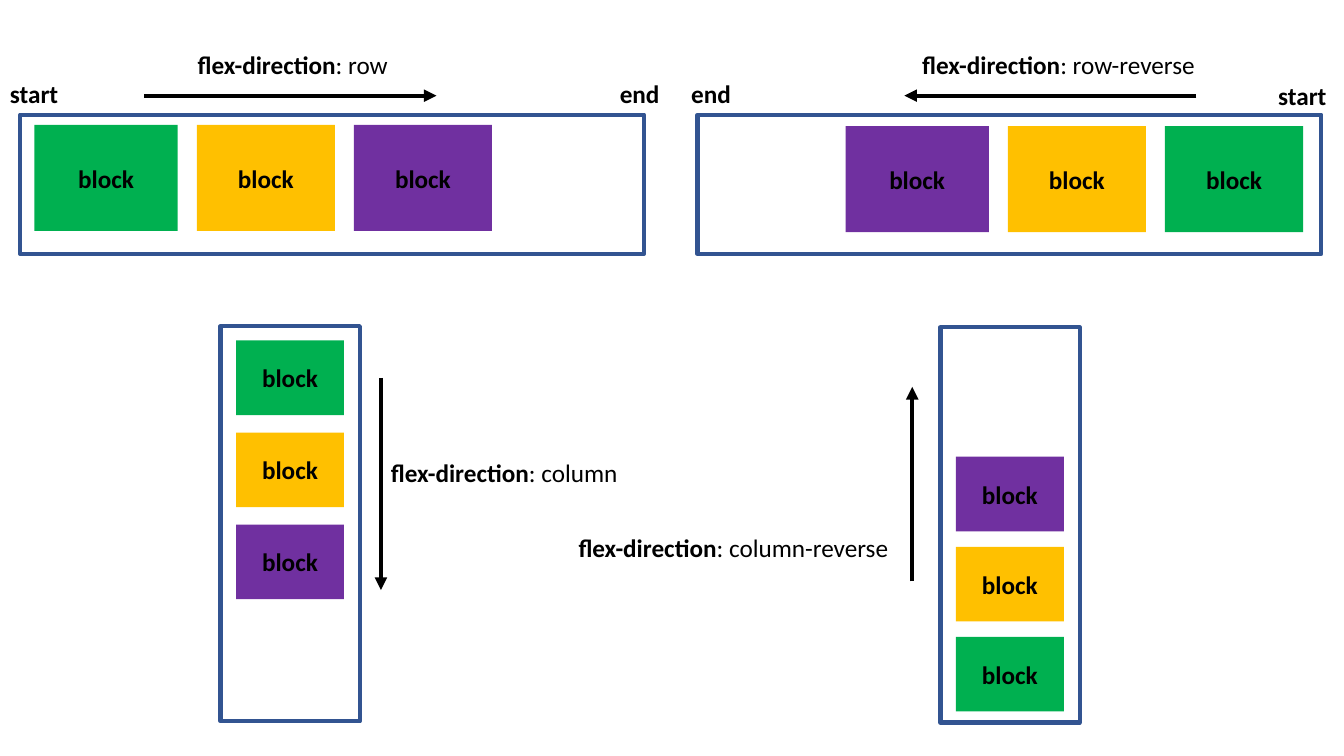
from pptx import Presentation
from pptx.dml.color import RGBColor
from pptx.enum.shapes import MSO_CONNECTOR, MSO_SHAPE
from pptx.enum.text import MSO_ANCHOR, PP_ALIGN
from pptx.oxml.ns import qn
from pptx.util import Cm, Pt
from lxml.etree import SubElement

GREEN, YELLOW, PURPLE = "00B050", "FFC000", "7030A0"
BLACK, FRAME_BLUE = "000000", "325491"
FORWARD = (GREEN, YELLOW, PURPLE)
REVERSE = FORWARD[::-1]
ROW_SIZE, COLUMN_SIZE = (15.72, 3.51), (3.51, 9.96)
ROW_BLOCK_WIDTHS, ROW_BLOCK_HEIGHT, ROW_GAP = (3.61, 3.48, 3.48), 2.67, 0.48
COLUMN_BLOCK_SIZE = (2.72, 1.88)
LABEL_HEIGHT, EDGE_LABEL_WIDTH = 1.02, 1.85


def color(hex_value):
    """Turn a hex string into a colour."""
    return RGBColor.from_string(hex_value)


def set_font(paragraph, bold=None):
    """Apply the slide's text style to a paragraph."""
    paragraph.font.name = "Calibri"
    paragraph.font.size = Pt(18)
    paragraph.font.color.rgb = color(BLACK)
    paragraph.font.bold = bold


def add_rectangle(slide, left, top, width, height):
    """Add a rectangle without shadow."""
    shape = slide.shapes.add_shape(
        MSO_SHAPE.RECTANGLE, Cm(left), Cm(top), Cm(width), Cm(height))
    shape.shadow.inherit = False
    return shape


def add_frame(slide, left, top, size):
    """Add the outlined flex container."""
    frame = add_rectangle(slide, left, top, *size)
    frame.fill.background()
    frame.line.color.rgb = color(FRAME_BLUE)
    frame.line.width = Pt(3)


def add_block(slide, left, top, width, height, fill):
    """Add one filled flex item with its centred label."""
    block = add_rectangle(slide, left, top, width, height)
    block.fill.solid()
    block.fill.fore_color.rgb = color(fill)
    block.line.fill.background()
    block.text_frame.vertical_anchor = MSO_ANCHOR.MIDDLE
    paragraph = block.text_frame.paragraphs[0]
    paragraph.text = "block"
    paragraph.alignment = PP_ALIGN.CENTER
    set_font(paragraph, bold=True)


def add_arrow(slide, start_x, start_y, end_x, end_y):
    """Add a black arrow pointing at its end."""
    arrow = slide.shapes.add_connector(
        MSO_CONNECTOR.STRAIGHT, Cm(start_x), Cm(start_y), Cm(end_x), Cm(end_y))
    arrow.line.color.rgb = color(BLACK)
    arrow.line.width = Pt(3)
    properties = arrow._element.spPr
    SubElement(properties.find(qn("a:ln")), qn("a:tailEnd"), type="triangle")
    SubElement(properties, qn("a:effectLst"))


def add_text_box(slide, left, top, width):
    """Add an empty text box and return its styled paragraph."""
    box = slide.shapes.add_textbox(Cm(left), Cm(top), Cm(width), Cm(LABEL_HEIGHT))
    box.text_frame.word_wrap = True
    paragraph = box.text_frame.paragraphs[0]
    set_font(paragraph)
    return paragraph


def add_edge_label(slide, left, top, text):
    """Add a bold start or end label."""
    paragraph = add_text_box(slide, left, top, EDGE_LABEL_WIDTH)
    paragraph.text = text
    paragraph.font.bold = True


def add_caption(slide, left, top, width, direction):
    """Add the property name in bold, followed by its value."""
    paragraph = add_text_box(slide, left, top, width)
    name = paragraph.add_run()
    name.text = "flex-direction"
    name.font.bold = True
    paragraph.add_run().text = f": {direction}"


def add_row_panel(slide, left, top, direction, fills, first_block, block_top,
                  arrow, caption, edge_labels):
    """Draw a horizontal container; all offsets are relative to its corner."""
    add_frame(slide, left, top, ROW_SIZE)
    block_left = left + first_block
    for fill, width in zip(fills, ROW_BLOCK_WIDTHS):
        add_block(slide, block_left, top + block_top, width, ROW_BLOCK_HEIGHT, fill)
        block_left += width + ROW_GAP
    arrow_start, arrow_end = arrow
    add_arrow(slide, left + arrow_start, top - 0.48, left + arrow_end, top - 0.48)
    caption_left, caption_width = caption
    add_caption(slide, left + caption_left, top - 1.78, caption_width, direction)
    for text, label_left, label_top in edge_labels:
        add_edge_label(slide, left + label_left, top + label_top, text)


def add_column_panel(slide, left, top, direction, fills, first_block, gap,
                     arrow, caption):
    """Draw a vertical container; all offsets are relative to its corner."""
    add_frame(slide, left, top, COLUMN_SIZE)
    width, height = COLUMN_BLOCK_SIZE
    for index, fill in enumerate(fills):
        block_top = top + first_block + index * (height + gap)
        add_block(slide, left + 0.39, block_top, width, height, fill)
    arrow_x, arrow_start, arrow_end = arrow
    add_arrow(slide, left + arrow_x, top + arrow_start, left + arrow_x, top + arrow_end)
    caption_left, caption_top, caption_width = caption
    add_caption(slide, left + caption_left, top + caption_top, caption_width, direction)


def build_slide(presentation):
    """Place the four flex-direction panels on a blank slide."""
    slide = presentation.slides.add_slide(presentation.slide_layouts[6])
    add_row_panel(
        slide, 0.51, 2.89, "row", FORWARD, first_block=0.36, block_top=0.26,
        arrow=(3.12, 10.49), caption=(4.22, 5.99),
        edge_labels=[("start", -0.51, -1.04), ("end", 14.86, -1.04)])
    add_row_panel(
        slide, 17.58, 2.89, "row-reverse", REVERSE, first_block=3.73, block_top=0.29,
        arrow=(12.57, 5.21), caption=(5.41, 7.95),
        edge_labels=[("end", -0.41, -1.04), ("start", 14.38, -0.99)])
    add_column_panel(
        slide, 5.56, 8.22, "column", FORWARD, first_block=0.36, gap=0.44,
        arrow=(4.04, 1.3, 6.65), caption=(4.04, 3.18, 6.6))
    add_column_panel(
        slide, 23.7, 8.25, "column-reverse", REVERSE, first_block=3.26, gap=0.39,
        arrow=(-0.71, 6.4, 1.5), caption=(-9.37, 5.03, 8.64))


presentation = Presentation()
presentation.slide_width = Cm(33.87)
presentation.slide_height = Cm(19.05)
build_slide(presentation)
presentation.save("out.pptx")
